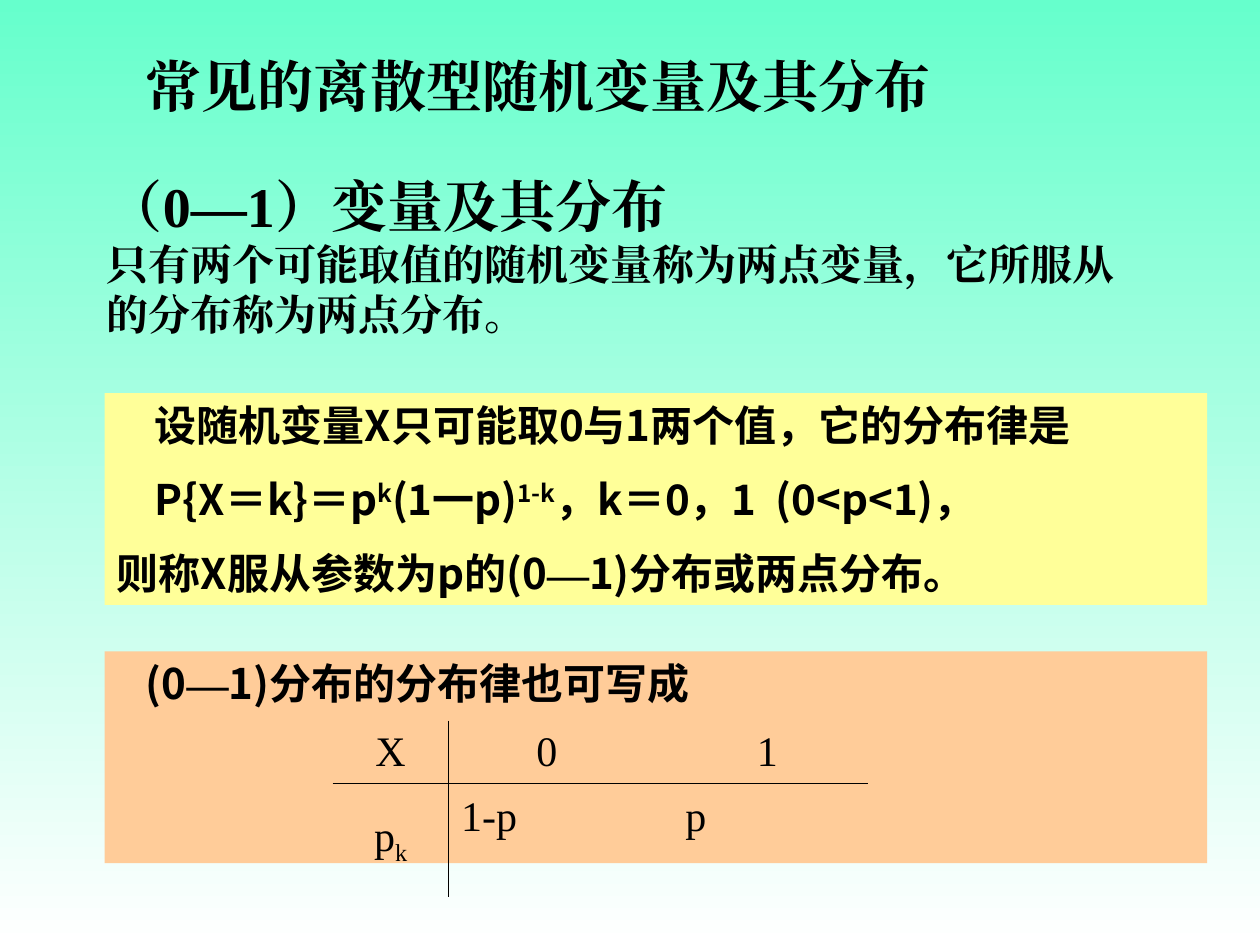
"""Build a slide on the two-point (0—1) distribution of a discrete random variable."""
import lxml.etree
import pptx
import pptx.dml.color
import pptx.enum.shapes
import pptx.enum.text
import pptx.oxml.ns
import pptx.util

Inches = pptx.util.Inches
Pt = pptx.util.Pt
qn = pptx.oxml.ns.qn
RGBColor = pptx.dml.color.RGBColor
Align = pptx.enum.text.PP_ALIGN
Anchor = pptx.enum.text.MSO_ANCHOR

MINT = RGBColor(0x66, 0xFF, 0xCC)
WHITE = RGBColor(0xFF, 0xFF, 0xFF)
BLACK = RGBColor(0x00, 0x00, 0x00)
YELLOW = RGBColor(0xFF, 0xFF, 0x99)
ORANGE = RGBColor(0xFF, 0xCC, 0x99)
SANS = "Noto Sans CJK SC"
SERIF = "Times New Roman"
NO_STYLE = "{2D5ABB26-0587-4C30-8999-92F81FD0307C}"


def add_runs(paragraph, runs, size, font_name, bold):
    for text, changes in runs:
        run = paragraph.add_run()
        run.text = text
        values = {"size": Pt(size), "name": font_name, "bold": bold}
        values.update(changes)
        baseline = values.pop("baseline", None)
        for name, value in values.items():
            setattr(run.font, name, value)
        run.font.color.rgb = BLACK
        properties = run.font._element
        if baseline:
            properties.set("baseline", str(baseline * 1000))
        lxml.etree.SubElement(properties, qn("a:ea"), typeface=values["name"])


def fill_text(shape, paragraphs, font_name):
    frame = shape.text_frame
    frame.word_wrap = True
    frame.vertical_anchor = Anchor.TOP
    for index, (size, indent, runs) in enumerate(paragraphs):
        paragraph = frame.add_paragraph() if index else frame.paragraphs[0]
        paragraph.alignment = Align.LEFT
        if font_name == SANS:
            paragraph.space_after = Pt(6)
            if index:
                paragraph.space_before = Pt(7.5)
        if indent:
            paragraph._p.get_or_add_pPr().set("indent", str(Inches(indent)))
        add_runs(paragraph, runs, size, font_name, True)


presentation = pptx.Presentation()
presentation.slide_width = Inches(10)
presentation.slide_height = Inches(7.5)
slide = presentation.slides.add_slide(presentation.slide_layouts[6])

background = slide.background.fill
background.gradient()
background.gradient_angle = 270
for stop, color in zip(background.gradient_stops, (MINT, WHITE)):
    stop.color.rgb = color

DASH = ("—", {"name": SERIF})
RAISED = {"baseline": 30}
definition = [
    (24, 0.3, [("设随机变量X只可能取0与1两个值，它的分布律是", {})]),
    (24, 0.3, [("P{X＝k}＝p", {}), ("k", RAISED), ("(1一p)", {}),
               ("1-k", RAISED), ("，k＝0，1  (0<p<1)，", {})]),
    (24, 0, [("则称X服从参数为p的(0", {}), DASH, ("1)分布或两点分布。", {})]),
]
table_intro = [(24, 0.23, [("(0", {}), DASH, ("1)分布的分布律也可写成", {})])]
for top, color, paragraphs in ((5.17, ORANGE, table_intro), (3.12, YELLOW, definition)):
    panel = slide.shapes.add_shape(
        pptx.enum.shapes.MSO_SHAPE.RECTANGLE,
        Inches(0.83), Inches(top), Inches(8.75), Inches(1.68))
    panel.shadow.inherit = False
    panel.fill.solid()
    panel.fill.fore_color.rgb = color
    panel.line.fill.background()
    fill_text(panel, paragraphs, SANS)

title = [(32, 0, [("常见的离散型随机变量及其分布", {})])]
introduction = [
    (32, 0, [("（0—1）变量及其分布", {})]),
    (24, 0, [("只有两个可能取值的随机变量称为两点变量，它所服从的分布称为两点分布。", {})]),
]
for box, paragraphs in (((1.06, 0.36, 7.09, 0.64), title),
                        ((0.75, 1.31, 8.27, 1.44), introduction)):
    text_box = slide.shapes.add_textbox(*map(Inches, box))
    fill_text(text_box, paragraphs, SERIF)

table = slide.shapes.add_table(
    2, 2, Inches(2.64), Inches(5.72), Inches(4.25), Inches(1.4)).table
table.first_row = False
table.horz_banding = False
table._tbl.tblPr.find(qn("a:tableStyleId")).text = NO_STYLE
for column, width in zip(table.columns, (0.92, 3.33)):
    column.width = Inches(width)
for row, height in zip(table.rows, (0.5, 0.9)):
    row.height = Inches(height)

cells = [
    (0, 0, [("X", {})], [], ("lnR", "lnB")),
    (0, 1, [("\t0\t1", {})], [(0.68, "ctr"), (2.43, "ctr")], ("lnL", "lnB")),
    (1, 0, [("p", {}), ("k", {"baseline": -25})], [], ("lnR", "lnT")),
    (1, 1, [("1-p\tp", {})], [(1.78, "l")], ("lnL", "lnT")),
]
for row, column, runs, stops, borders in cells:
    cell = table.cell(row, column)
    cell.fill.background()
    cell.vertical_anchor = Anchor.TOP if row and column else Anchor.MIDDLE
    cell.margin_top = Inches(0.08 if row and column else 0.05)
    paragraph = cell.text_frame.paragraphs[0]
    paragraph.alignment = Align.LEFT if column else Align.CENTER
    if stops:
        tab_list = lxml.etree.SubElement(paragraph._p.get_or_add_pPr(), qn("a:tabLst"))
        for position, kind in stops:
            lxml.etree.SubElement(
                tab_list, qn("a:tab"), pos=str(Inches(position)), algn=kind)
    add_runs(paragraph, runs, 24, SERIF, False)
    cell_properties = cell._tc.get_or_add_tcPr()
    for index, side in enumerate(borders):
        line = lxml.etree.Element(qn("a:" + side), w=str(Pt(0.45)))
        solid = lxml.etree.SubElement(line, qn("a:solidFill"))
        lxml.etree.SubElement(solid, qn("a:srgbClr"), val=str(BLACK))
        cell_properties.insert(index, line)

presentation.save("out.pptx")
